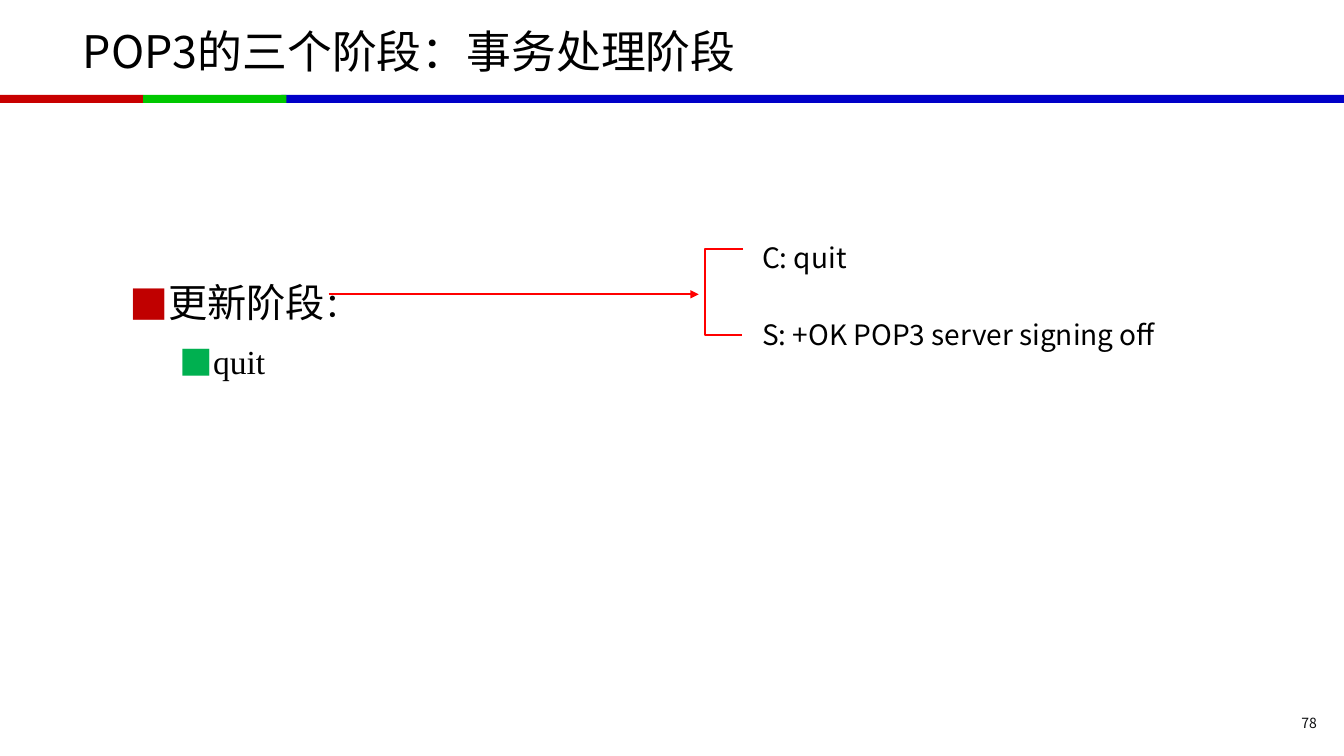
from pptx import Presentation
from pptx.dml.color import RGBColor
from pptx.enum.shapes import MSO_CONNECTOR, MSO_SHAPE
from pptx.enum.text import MSO_ANCHOR, MSO_AUTO_SIZE, PP_ALIGN
from pptx.oxml.ns import qn
from pptx.util import Inches, Pt
from lxml import etree

LINE, RECT = MSO_CONNECTOR.STRAIGHT, MSO_SHAPE.RECTANGLE
MIDDLE, TOP = MSO_ANCHOR.MIDDLE, MSO_ANCHOR.TOP
LEFT, RIGHT = PP_ALIGN.LEFT, PP_ALIGN.RIGHT
FIXED = MSO_AUTO_SIZE.NONE

# Content
SANS, SERIF = "Noto Sans CJK SC", "Times New Roman"
BLACK, RED = "000000", "FF0000"
TITLE = "POP3的三个阶段：事务处理阶段"
# level, indent, space before, bullet colour, runs of (text, size, font)
ITEMS = [
    (0, 0.25, 0, "C00000", [("更新阶段", 28, SANS), ("：", 24, SANS)]),
    (1, 0.75, 5, "00B050", [("quit", 24, SERIF)]),
]
# text, space before
DIALOG = [("C: quit", 0), ("S: +OK POP3 server signing off", 26.5)]
NUMBER = "78"
# left, width, colour
BANDS = [(2.79, 10.54, "0000C8"), (0, 1.42, "C80000"), (1.42, 1.42, "00C800")]
BRACKET = [(7.37, 2.47), (6.99, 2.47), (6.99, 3.32), (7.36, 3.32)]
ARROW = (3.26, 2.92, 6.93, 2.92)


def rgb(code):
    return RGBColor.from_string(code)


def place(shape, left, top, width, height):
    shape.left, shape.top = Inches(left), Inches(top)
    shape.width, shape.height = Inches(width), Inches(height)


def frame(shape, anchor, wrap=True):
    box = shape.text_frame
    box.auto_size, box.word_wrap = FIXED, wrap
    box.vertical_anchor = anchor
    return box


def add_run(para, text, size, face=SANS, color=BLACK):
    run = para.add_run()
    run.text = text
    font = run.font
    font.size, font.name = Pt(size), face
    font.color.rgb = rgb(color)
    etree.SubElement(run._r.get_or_add_rPr(), qn("a:ea"), typeface=face)


def get_para(box, index, gap):
    para = box.add_paragraph() if index else box.paragraphs[0]
    para.alignment, para.line_spacing = LEFT, 1.2
    para.space_before = Pt(gap)
    return para


def add_bullet(para, indent, color):
    props = para._p.get_or_add_pPr()
    props.set("marL", str(Inches(indent)))
    props.set("indent", str(Inches(-0.25)))
    tint = etree.SubElement(props, qn("a:buClr"))
    etree.SubElement(tint, qn("a:srgbClr"), val=color)
    etree.SubElement(props, qn("a:buFont"), typeface=SANS)
    etree.SubElement(props, qn("a:buChar"), char="■")


def ink(shape):
    shape.line.color.rgb = rgb(RED)
    shape.line.width = Pt(1.5)


deck = Presentation()
deck.slide_width, deck.slide_height = Inches(13.33), Inches(7.5)
slide = deck.slides.add_slide(deck.slide_layouts[1])
shapes = slide.shapes

# Colour bands under the title
for left, width, color in BANDS:
    band = shapes.add_shape(RECT, Inches(left), Inches(0.94),
                            Inches(width), Inches(0.08))
    band.shadow.inherit = False
    band.fill.solid()
    band.fill.fore_color.rgb = rgb(color)
    band.line.fill.background()

# Title
title = shapes.title
place(title, 0.72, 0.08, 11.88, 0.84)
head = frame(title, MIDDLE).paragraphs[0]
head.alignment = LEFT
add_run(head, TITLE, 32)

# Bullet list
body = slide.placeholders[1]
place(body, 1.18, 2.62, 2.26, 1.29)
box = frame(body, TOP)
for i, (level, indent, gap, color, runs) in enumerate(ITEMS):
    para = get_para(box, i, gap)
    para.level = level
    add_bullet(para, indent, color)
    for text, size, face in runs:
        add_run(para, text, size, face)

# Client and server lines
talk = shapes.add_textbox(Inches(7.46), Inches(2.27), Inches(4.37), Inches(1.35))
box = frame(talk, TOP, False)
for i, (text, gap) in enumerate(DIALOG):
    add_run(get_para(box, i, gap), text, 20)

# Bracket
points = [(Inches(x), Inches(y)) for x, y in BRACKET]
build = shapes.build_freeform(*points[0])
build.add_line_segments(points[1:], close=False)
bracket = build.convert_to_shape()
bracket.shadow.inherit = False
bracket.fill.background()
ink(bracket)

# Arrow
arrow = shapes.add_connector(LINE, *[Inches(n) for n in ARROW])
ink(arrow)
etree.SubElement(arrow.line._get_or_add_ln(), qn("a:tailEnd"), type="triangle")
etree.SubElement(arrow._element.spPr, qn("a:effectLst"))

# Page number
page = shapes.add_textbox(Inches(11.86), Inches(7.06), Inches(1.3), Inches(0.23))
foot = frame(page, MIDDLE).paragraphs[0]
foot.alignment = RIGHT
add_run(foot, NUMBER, 10, color="0C0D0F")

deck.save("out.pptx")
